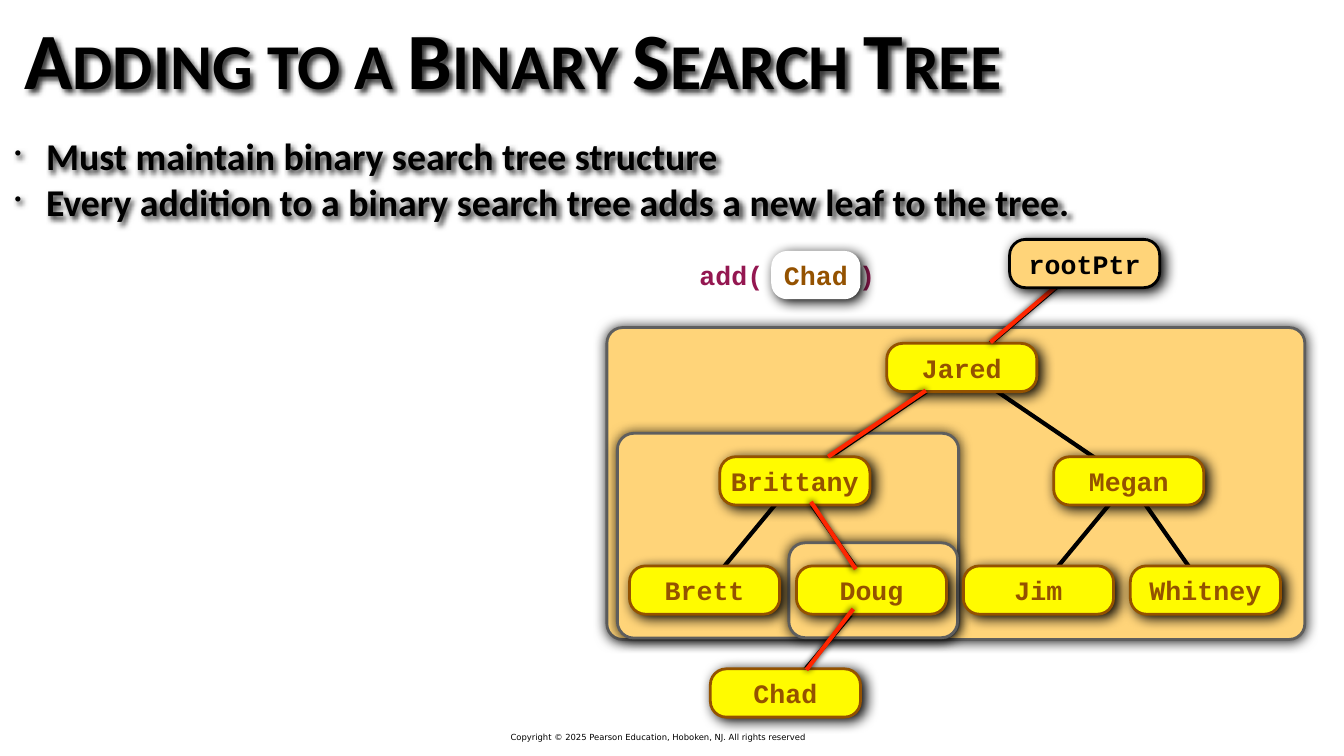
from lxml.etree import SubElement
from pptx import Presentation
from pptx.dml.color import RGBColor
from pptx.enum.shapes import MSO_CONNECTOR, MSO_SHAPE
from pptx.enum.text import MSO_ANCHOR, MSO_AUTO_SIZE, PP_ALIGN
from pptx.oxml.ns import qn
from pptx.util import Pt

COLORS = {
    "black": "000000", "white": "FFFFFF", "orange": "FFD479", "gray": "5E5E5E",
    "yellow": "FFFB00", "brown": "945200", "plum": "941751", "red": "FF2600",
}
# Shadows: opacity in percent, blur, distance, angle in degrees
PANEL_SHADOW = (82, 18, 0, 33)
NODE_SHADOW = (100, 19, 7, 36)
LINE_SHADOW = (100, 10, 0, 45)
TEXT_SHADOW = (80, 8, 5, 45)
NODE_WIDTH, NODE_HEIGHT = 214.5, 69


def rgb(name):
    return RGBColor.from_string(COLORS[name])


class TreeSlide:
    heading_font = "Calibri"
    code_font = "Courier New"
    inset = 5.76

    def __init__(self, presentation):
        self.slide = presentation.slides.add_slide(presentation.slide_layouts[5])
        self.shapes = self.slide.shapes

    def add_shadow(self, effects, shadow):
        opacity, blur, distance, angle = shadow
        outer = SubElement(effects, qn("a:outerShdw"), blurRad=str(Pt(blur)),
                           dist=str(Pt(distance)), dir=str(angle * 60000),
                           algn="ctr", rotWithShape="0")
        color = SubElement(outer, qn("a:srgbClr"), val=COLORS["black"])
        SubElement(color, qn("a:alpha"), val=str(opacity * 1000))

    def shade(self, shape, shadow):
        shape.shadow.inherit = False
        self.add_shadow(shape._element.spPr.find(qn("a:effectLst")), shadow)

    def frame(self, shape, anchor, inset=inset):
        frame = shape.text_frame
        frame.word_wrap = True
        frame.auto_size = MSO_AUTO_SIZE.NONE
        frame.vertical_anchor = anchor
        frame.margin_left = frame.margin_right = Pt(inset)
        frame.margin_top = frame.margin_bottom = Pt(inset)
        return frame

    def format(self, paragraph, font, size, color, bold=True, align=PP_ALIGN.LEFT):
        paragraph.alignment = align
        paragraph.font.name = font
        paragraph.font.size = Pt(size)
        paragraph.font.bold = bold
        paragraph.font.color.rgb = rgb(color)

    def title(self, text, box):
        shape = self.shapes.title
        shape.left, shape.top, shape.width, shape.height = map(Pt, box)
        frame = self.frame(shape, MSO_ANCHOR.MIDDLE)
        frame.text = text
        paragraph = frame.paragraphs[0]
        self.format(paragraph, self.heading_font, 114, "black")
        paragraph.runs[0]._r.get_or_add_rPr().set("cap", "small")
        self.shade(shape, TEXT_SHADOW)

    def bullets(self, lines, box):
        shape = self.shapes.add_textbox(*map(Pt, box))
        frame = self.frame(shape, MSO_ANCHOR.TOP)
        frame.text = "\n".join(lines)
        for paragraph in frame.paragraphs:
            properties = paragraph._p.get_or_add_pPr()
            properties.set("marL", str(Pt(45)))
            properties.set("indent", str(Pt(-45)))
            SubElement(properties, qn("a:buSzPct"), val="53000")
            SubElement(properties, qn("a:buChar"), char="•")
            self.format(paragraph, self.heading_font, 54, "black")
        self.shade(shape, TEXT_SHADOW)

    def call(self, text, box, tab):
        shape = self.shapes.add_textbox(*map(Pt, box))
        frame = self.frame(shape, MSO_ANCHOR.MIDDLE)
        frame.text = text
        paragraph = frame.paragraphs[0]
        tabs = SubElement(paragraph._p.get_or_add_pPr(), qn("a:tabLst"))
        SubElement(tabs, qn("a:tab"), pos=str(Pt(tab)), algn="l")
        self.format(paragraph, self.code_font, 38, "plum")

    def footer(self, text, box):
        shape = self.shapes.add_textbox(*map(Pt, box))
        frame = self.frame(shape, MSO_ANCHOR.MIDDLE, 0)
        frame.text = text
        self.format(frame.paragraphs[0], "DejaVu Sans", 12, "black", bold=False)

    def panel(self, box, radius, fill="orange", line="gray", shadow=PANEL_SHADOW):
        shape = self.shapes.add_shape(MSO_SHAPE.ROUNDED_RECTANGLE, *map(Pt, box))
        shape.adjustments[0] = radius
        shape.fill.solid()
        shape.fill.fore_color.rgb = rgb(fill)
        if line:
            shape.line.color.rgb = rgb(line)
            shape.line.width = Pt(4)
        else:
            shape.line.fill.background()
        self.shade(shape, shadow)
        return shape

    def node(self, text, center, fill="yellow", line="brown", color="brown",
             width=NODE_WIDTH):
        x, y = center
        box = (x - width / 2, y - NODE_HEIGHT / 2, width, NODE_HEIGHT)
        shape = self.panel(box, 0.33, fill, line, NODE_SHADOW)
        frame = self.frame(shape, MSO_ANCHOR.MIDDLE)
        frame.text = text
        self.format(frame.paragraphs[0], self.code_font, 38, color,
                    align=PP_ALIGN.CENTER)

    def edge(self, start, end, color="black", shadow=None):
        line = self.shapes.add_connector(MSO_CONNECTOR.STRAIGHT,
                                         *map(Pt, (*start, *end)))
        line.line.color.rgb = rgb(color)
        line.line.width = Pt(6)
        effects = SubElement(line._element.spPr, qn("a:effectLst"))
        if shadow:
            self.add_shadow(effects, shadow)


def main():
    presentation = Presentation()
    presentation.slide_width, presentation.slide_height = Pt(1920), Pt(1080)
    tree = TreeSlide(presentation)

    # Footer and nested subtrees
    tree.footer("Copyright © 2025 Pearson Education, Hoboken, NJ. All rights reserved",
                (729.5, 1044.5, 487.5, 17.5))
    tree.panel((867, 468, 997, 445.5), 0.05)
    tree.panel((882, 619, 487.5, 292.5), 0.08)
    tree.panel((1127, 775.5, 241, 135.5), 0.17)

    # Heading and key points
    tree.title("Adding to a Binary Search Tree", (29, 0, 1729.5, 165))
    tree.bullets(["Must maintain binary search tree structure",
                  "Every addition to a binary search tree adds a new leaf to the tree."],
                 (15, 184.5, 1863.5, 139.5))

    # Method call
    tree.call("add(\t)", (993.5, 358.5, 303, NODE_HEIGHT), tab=228)
    tree.node("Chad", (1165.5, 393), fill="white", line=None, width=127.5)

    # Node centers: leaves evenly spaced, the levels above follow from them
    step = 238.5
    leaves = ["Brett", "Doug", "Jim", "Whitney"]
    centers = {name: (1006.5 + step * i, 843) for i, name in enumerate(leaves)}
    centers["Brittany"] = (1135.5, 687)
    centers["Megan"] = (1135.5 + 2 * step, 687)
    centers["Jared"] = (1135.5 + step, 525)
    centers["Chad"] = (1122, 990)
    root = (1549.5, 376.5)

    # Tree edges, then the nodes over them
    tree.edge(root, centers["Jared"])
    for parent, child in [("Jared", "Brittany"), ("Jared", "Megan"),
                          ("Brittany", "Brett"), ("Brittany", "Doug"),
                          ("Megan", "Jim"), ("Megan", "Whitney"), ("Doug", "Chad")]:
        tree.edge(centers[parent], centers[child])
    for name, center in centers.items():
        tree.node(name, center)

    # Search path from the root to the new leaf
    for start, end in [((1219, 870), (1152, 957)), ((1158.5, 717), (1222.5, 813)),
                       ((1183, 652.5), (1322.5, 558)), ((1415, 489), (1510.5, 407.5))]:
        tree.edge(start, end, "red", LINE_SHADOW)
    tree.node("rootPtr", root, fill="orange", line="black", color="black")

    presentation.save("out.pptx")


if __name__ == "__main__":
    main()
